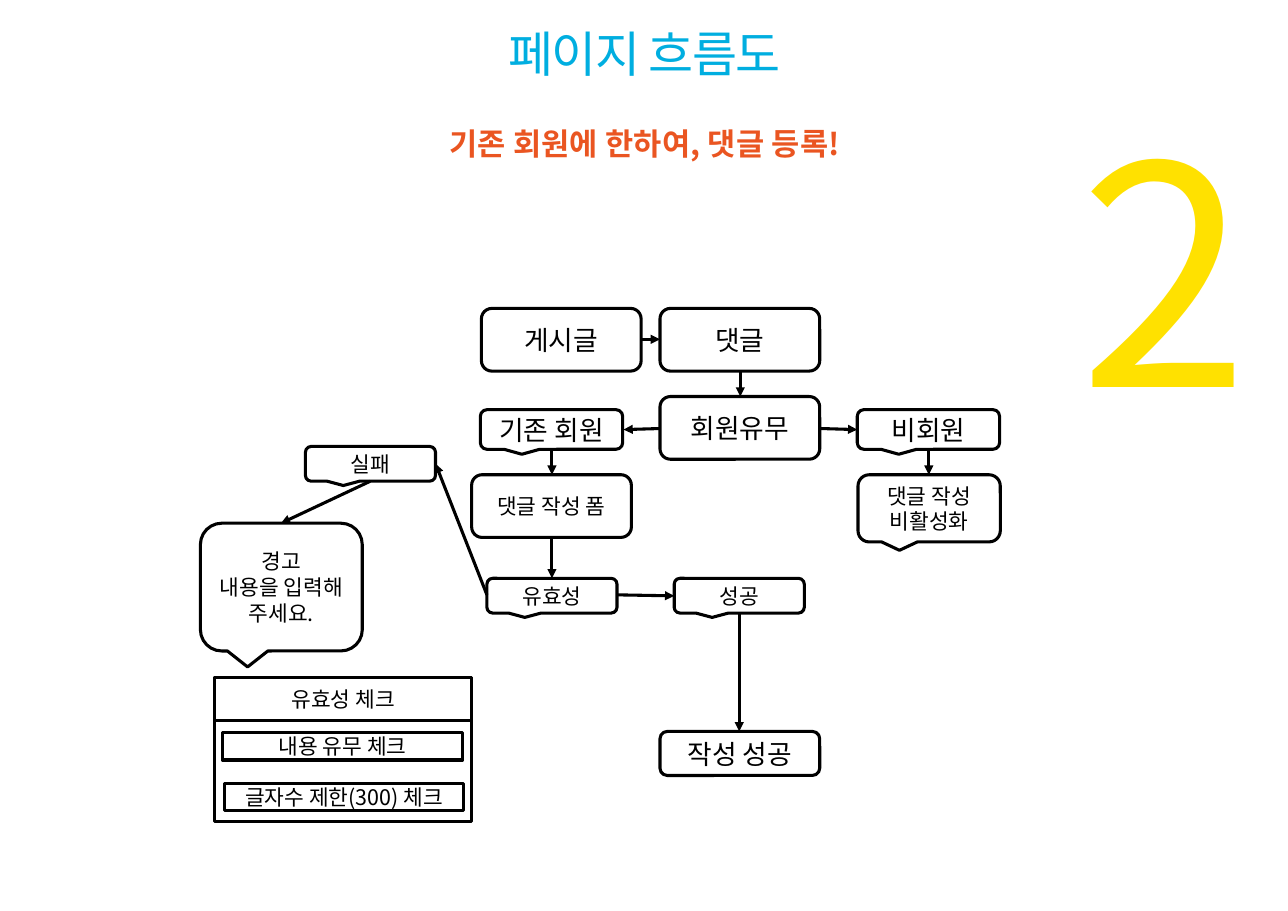
from dataclasses import dataclass

from lxml.etree import SubElement
from pptx import Presentation
from pptx.dml.color import RGBColor
from pptx.enum.shapes import MSO_CONNECTOR, MSO_SHAPE
from pptx.enum.text import MSO_ANCHOR, PP_ALIGN
from pptx.oxml.ns import qn
from pptx.slide import Slide
from pptx.text.text import _Paragraph
from pptx.util import Pt

FONT = "Noto Sans CJK KR"
COLORS = {
    "blue": "00AEE0",
    "orange": "EA5521",
    "yellow": "FFE100",
    "black": "000000",
    "white": "FFFFFF",
}
LINE_WIDTH = 2
LARGE, SMALL = 17.5, 14

ROUND = MSO_SHAPE.ROUNDED_RECTANGLE
CALLOUT = MSO_SHAPE.ROUNDED_RECTANGULAR_CALLOUT
RECT = MSO_SHAPE.RECTANGLE


@dataclass
class Heading:
    text: str
    left: float
    top: float
    width: float
    height: float
    size: float
    leading: float
    color: str
    spacing: int = -100  # hundredths of a point
    bold: bool = False
    align: PP_ALIGN = PP_ALIGN.CENTER


@dataclass
class Node:
    text: str
    kind: MSO_SHAPE
    left: float
    top: float
    width: float
    height: float
    size: float = SMALL


@dataclass
class Arrow:
    x1: float
    y1: float
    x2: float
    y2: float


def rgb(name: str) -> RGBColor:
    return RGBColor.from_string(COLORS[name])


def add_run(p: _Paragraph, text: str, size: float, color: str,
            bold: bool = False, spacing: int = 0) -> None:
    r = p.add_run()
    r.text = text
    r.font.size = Pt(size)
    r.font.bold = bold
    r.font.color.rgb = rgb(color)
    r.font.name = FONT
    rPr = r.font._element
    SubElement(rPr, qn("a:ea")).set("typeface", FONT)
    if spacing:
        rPr.set("spc", str(spacing))


def add_heading(s: Slide, h: Heading) -> None:
    box = s.shapes.add_textbox(Pt(h.left), Pt(h.top), Pt(h.width), Pt(h.height))
    tf = box.text_frame
    tf.word_wrap = True
    tf.margin_left = tf.margin_right = tf.margin_top = tf.margin_bottom = 0
    p = tf.paragraphs[0]
    p.alignment = h.align
    p.line_spacing = Pt(h.leading)
    add_run(p, h.text, h.size, h.color, h.bold, h.spacing)


def add_node(s: Slide, n: Node) -> None:
    sp = s.shapes.add_shape(n.kind, Pt(n.left), Pt(n.top), Pt(n.width), Pt(n.height))
    sp.shadow.inherit = False
    sp.fill.solid()
    sp.fill.fore_color.rgb = rgb("white")
    sp.line.color.rgb = rgb("black")
    sp.line.width = Pt(LINE_WIDTH)
    if not n.text:
        return
    tf = sp.text_frame
    tf.word_wrap = True
    tf.vertical_anchor = MSO_ANCHOR.MIDDLE
    for i, text in enumerate(n.text.split("\n")):
        p = tf.add_paragraph() if i else tf.paragraphs[0]
        p.alignment = PP_ALIGN.CENTER
        add_run(p, text, n.size, "black")


def add_arrow(s: Slide, a: Arrow) -> None:
    line = s.shapes.add_connector(
        MSO_CONNECTOR.STRAIGHT, Pt(a.x1), Pt(a.y1), Pt(a.x2), Pt(a.y2))
    line.line.color.rgb = rgb("black")
    line.line.width = Pt(LINE_WIDTH)
    SubElement(line.line._get_or_add_ln(), qn("a:tailEnd")).set("type", "triangle")
    SubElement(line._element.spPr, qn("a:effectLst"))


# Columns, rows and sizes shared by the flow
MAIN_X, LEFT_X = 431.3, 314.6
BOX_W, BOX_H = 104.4, 41
MEMBER_W, MEMBER_H, MEMBER_Y = 93, 25.9, 267.8
RESULT_W, RESULT_H, RESULT_Y = 85, 22.7, 378
FORM_Y = 310.3
CHECK_X, CHECK_Y, CHECK_W = 140.4, 442.8, 167.8

HEADINGS = [
    Heading("기존 회원에 한하여, 댓글 등록!", 159.1, 91.4, 524.2, 56.9, 20, 14,
            "orange", 10, True),
    Heading("페이지 흐름도", 159.1, 23.8, 524.2, 59, 32, 30, "blue"),
    Heading("2", 705.6, 93.6, 105.1, 198.7, 200, 200, "yellow", align=PP_ALIGN.LEFT),
]

NODES = [
    # Post and comment
    Node("게시글", ROUND, LEFT_X, 201.6, BOX_W, BOX_H, LARGE),
    Node("댓글", ROUND, MAIN_X, 201.6, BOX_W, BOX_H, LARGE),
    # Membership
    Node("회원유무", ROUND, MAIN_X, 259.2, BOX_W, BOX_H, LARGE),
    Node("기존 회원", CALLOUT, 313.9, MEMBER_Y, MEMBER_W, MEMBER_H, LARGE),
    Node("비회원", CALLOUT, 560.2, MEMBER_Y, MEMBER_W, MEMBER_H, LARGE),
    Node("댓글 작성 폼", ROUND, 308.2, FORM_Y, BOX_W, BOX_H),
    Node("댓글 작성 비활성화", CALLOUT, 560.7, FORM_Y, MEMBER_W, 43.9),
    # Validation outcome
    Node("유효성", CALLOUT, 318.2, RESULT_Y, RESULT_W, RESULT_H),
    Node("성공", CALLOUT, 440.6, RESULT_Y, RESULT_W, RESULT_H),
    Node("실패", CALLOUT, 199.6, 291.8, RESULT_W, RESULT_H),
    Node("경고\n내용을 입력해 주세요.", CALLOUT, 131, 342, 105.8, 83.5),
    Node("작성 성공", ROUND, MAIN_X, 478.1, BOX_W, 28.8, LARGE),
    # Validation checklist
    Node("", RECT, CHECK_X, CHECK_Y, CHECK_W, 94.3),
    Node("유효성 체크", RECT, CHECK_X, CHECK_Y, CHECK_W, 28.1),
    Node("내용 유무 체크", RECT, 145.4, 478.8, 157, 18),
    Node("글자수 제한(300) 체크", RECT, 146.9, 511.9, 156.2, 18),
]

ARROWS = [
    Arrow(419, 221.8, 431.3, 221.8),
    Arrow(483.8, 242.6, 483.8, 259.2),
    Arrow(431.3, 280.1, 407.5, 280.8),
    Arrow(536.4, 280.1, 560.2, 280.8),
    Arrow(360.7, 293.4, 360.7, 310.3),
    Arrow(607, 293.4, 607, 310.3),
    Arrow(360.7, 351.4, 360.7, 378),
    Arrow(318.2, 388.8, 284.6, 303.1),
    Arrow(241.9, 314.6, 183.6, 342),
    Arrow(403.2, 388.8, 440.6, 389.5),
    Arrow(483.1, 400.6, 483.1, 478.1),
]


def main() -> None:
    prs = Presentation()
    prs.slide_width, prs.slide_height = Pt(841.68), Pt(595.44)
    s = prs.slides.add_slide(prs.slide_layouts[6])
    for h in HEADINGS:
        add_heading(s, h)
    for n in NODES:
        add_node(s, n)
    for a in ARROWS:
        add_arrow(s, a)
    prs.save("out.pptx")


if __name__ == "__main__":
    main()
